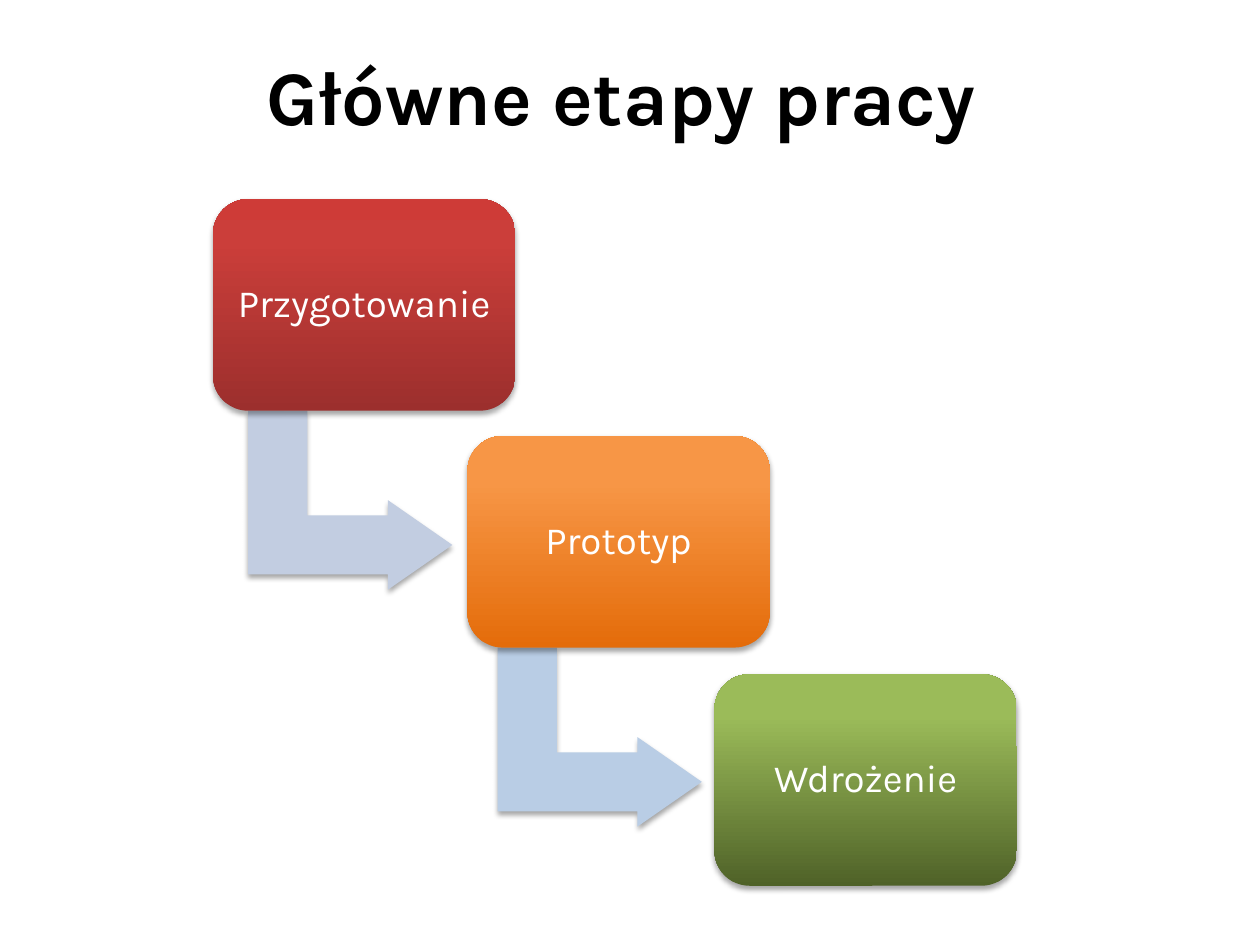
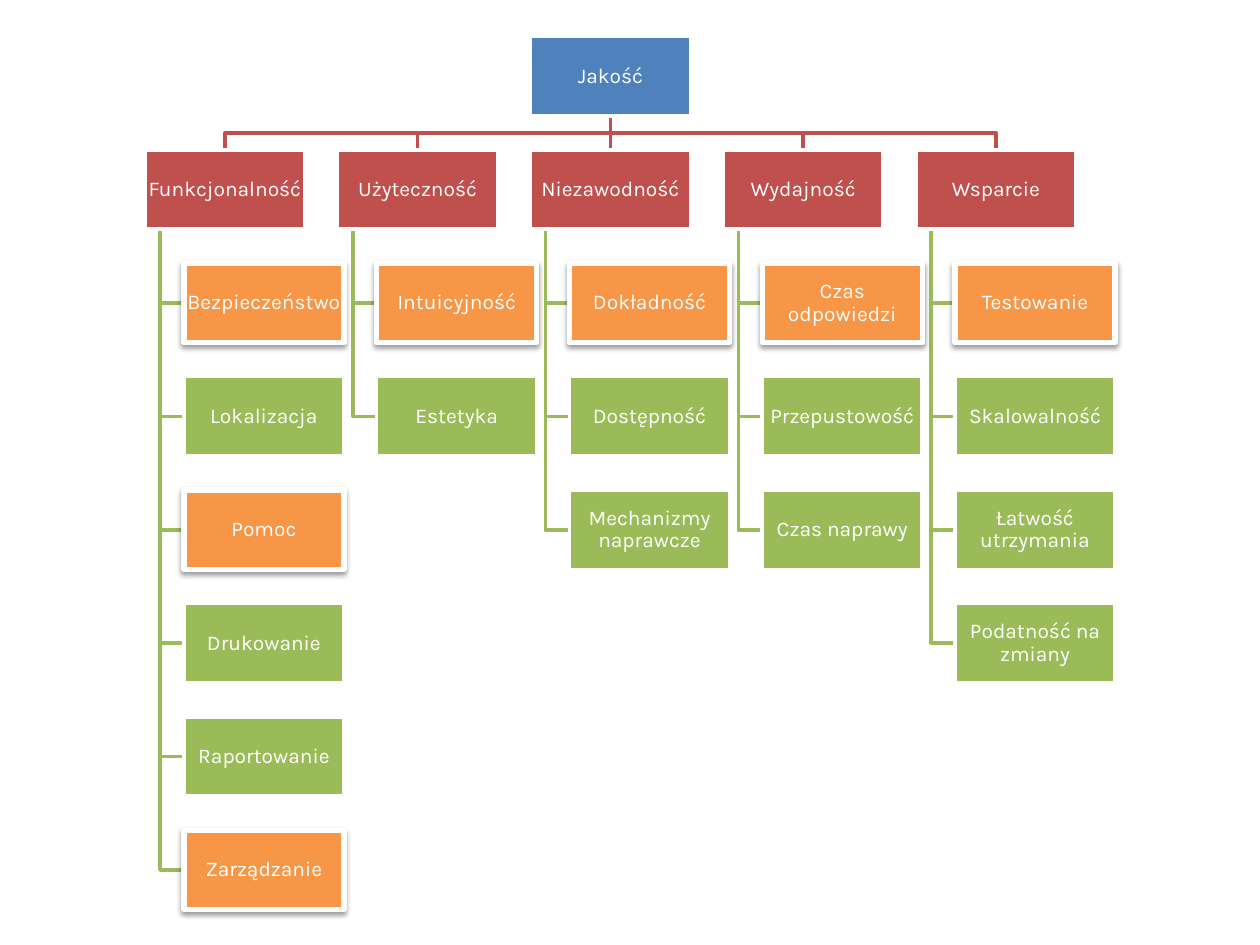
from copy import deepcopy
from lxml.etree import SubElement
from pptx import Presentation
from pptx.dml.color import RGBColor
from pptx.enum.shapes import MSO_CONNECTOR, MSO_SHAPE
from pptx.enum.text import MSO_ANCHOR, PP_ALIGN
from pptx.oxml.ns import qn
from pptx.util import Inches, Pt

FONT = "Karla"
COLORS = {
    "black": "000000", "white": "FFFFFF", "blue": "4F81BD", "red": "C0504D",
    "green": "9BBB59", "orange": "F79646", "arrow1": "C2CDE1", "arrow2": "B9CDE5",
}
RGB = {name: RGBColor.from_string(value) for name, value in COLORS.items()}


def add_shadow(sp, alpha, dist):
    effects = sp._element.spPr.find(qn("a:effectLst"))
    shadow = SubElement(effects, qn("a:outerShdw"), blurRad=str(Pt(3.1)),
                        dist=str(Pt(dist)), dir="5400000", rotWithShape="0")
    color = SubElement(shadow, qn("a:srgbClr"), val=COLORS["black"])
    SubElement(color, qn("a:alpha"), val=str(alpha * 1000))


def add_box(s, kind, x, y, w, h, text, size, inset):
    sp = s.shapes.add_shape(kind, Inches(x), Inches(y), Inches(w), Inches(h))
    sp.shadow.inherit = False
    tf = sp.text_frame
    tf.word_wrap = True
    tf.vertical_anchor = MSO_ANCHOR.MIDDLE
    tf.margin_left = tf.margin_right = tf.margin_top = tf.margin_bottom = Inches(inset)
    p = tf.paragraphs[0]
    p.alignment = PP_ALIGN.CENTER
    p.line_spacing = 0.9
    r = p.add_run()
    r.text = text
    r.font.name = FONT
    r.font.size = Pt(size)
    r.font.color.rgb = RGB["white"]
    return sp


prs = Presentation()
prs.slide_width = Inches(10)
prs.slide_height = Inches(7.5)

s = prs.slides.add_slide(prs.slide_layouts[5])
title = s.shapes.title
title.left, title.top, title.width, title.height = Inches(0.43), Inches(0.13), Inches(9), Inches(1.25)
tf = title.text_frame
tf.vertical_anchor = MSO_ANCHOR.MIDDLE
p = tf.paragraphs[0]
p.alignment = PP_ALIGN.CENTER
r = p.add_run()
r.text = "Główne etapy pracy"
r.font.name = FONT
r.font.size = Pt(44)
r.font.bold = True
r.font.color.rgb = RGB["black"]

stages = [
    ("Przygotowanie", 1.69, 1.58, [(0, "9C2F2D"), (0.8, "CB3E3A"), (1, "CE3B37")], (2.07, 3.16, "arrow1")),
    ("Prototyp", 3.71, 3.46, [(0, "E46C0A"), (0.78, "F79646"), (1, "F79646")], (4.05, 5.04, "arrow2")),
    ("Wdrożenie", 5.67, 5.35, [(0, "4F6228"), (0.8, "9BBB59"), (1, "9BBB59")], None),
]
for text, x, y, stops, arrow in stages:
    if arrow:
        ax, ay, color = arrow
        sp = s.shapes.add_shape(MSO_SHAPE.BENT_UP_ARROW, Inches(ax), Inches(ay), Inches(1.42), Inches(1.62))
        sp.rotation = 90
        for i, value in enumerate((0.33, 0.25, 0.36)):
            sp.adjustments[i] = value
        sp.fill.solid()
        sp.fill.fore_color.rgb = RGB[color]
        sp.line.fill.background()
        sp.shadow.inherit = False
        add_shadow(sp, 35, 1.8)
    sp = add_box(s, MSO_SHAPE.ROUNDED_RECTANGLE, x, y, 2.4, 1.68, text, 22, 0.09)
    sp.line.fill.background()
    sp.fill.gradient()
    sp.fill.gradient_angle = 90
    gs_list = sp._element.spPr.find(".//" + qn("a:gsLst"))
    gs_list.append(deepcopy(gs_list[-1]))
    for stop, (position, color) in zip(sp.fill.gradient_stops, stops):
        stop.position = position
        stop.color.rgb = RGBColor.from_string(color)
    add_shadow(sp, 35, 1.8)

s = prs.slides.add_slide(prs.slide_layouts[6])
BOX_W, BOX_H = 1.27, 0.63
LEFT, TOP = 1.15, 0.29
COL_STEP, ROW_STEP = 1.53, 0.9
INDENT, STEM = 0.31, 0.12
tree = [
    ("Funkcjonalność", ["Bezpieczeństwo", "Lokalizacja", "Pomoc", "Drukowanie", "Raportowanie", "Zarządzanie"]),
    ("Użyteczność", ["Intuicyjność", "Estetyka"]),
    ("Niezawodność", ["Dokładność", "Dostępność", "Mechanizmy naprawcze"]),
    ("Wydajność", ["Czas odpowiedzi", "Przepustowość", "Czas naprawy"]),
    ("Wsparcie", ["Testowanie", "Skalowalność", "Łatwość utrzymania", "Podatność na zmiany"]),
]
highlighted = {"Bezpieczeństwo", "Pomoc", "Zarządzanie", "Intuicyjność", "Dokładność",
               "Czas odpowiedzi", "Testowanie"}

root_x = LEFT + 2 * COL_STEP
root_mid = root_x + BOX_W / 2
root_bottom = TOP + BOX_H
branch_y = TOP + ROW_STEP
bus_y = (root_bottom + branch_y) / 2
boxes = [("Jakość", root_x, TOP, "blue")]
lines = []
for col, (branch, leaves) in enumerate(tree):
    x = LEFT + col * COL_STEP
    mid = x + BOX_W / 2
    boxes.append((branch, x, branch_y, "red"))
    if col != 2:
        lines.append(("red", [(root_mid, root_bottom), (root_mid, bus_y), (mid, bus_y), (mid, branch_y)]))
    for row, leaf in enumerate(leaves, 2):
        y = TOP + row * ROW_STEP
        leaf_mid = y + BOX_H / 2
        boxes.append((leaf, x + INDENT, y, "orange" if leaf in highlighted else "green"))
        lines.append(("green", [(x + STEM, branch_y + BOX_H), (x + STEM, leaf_mid), (x + INDENT, leaf_mid)]))

for color, points in lines:
    (x, y), *rest = [(Inches(px), Inches(py)) for px, py in points]
    fb = s.shapes.build_freeform(x, y)
    fb.add_line_segments(rest, close=False)
    sp = fb.convert_to_shape()
    sp.shadow.inherit = False
    sp.fill.background()
    sp.line.color.rgb = RGB[color]
    sp.line.width = Pt(2)

placed = {}
for text, x, y, color in boxes:
    sp = add_box(s, MSO_SHAPE.RECTANGLE, x, y, BOX_W, BOX_H, text, 12, 0.01)
    sp.fill.solid()
    sp.fill.fore_color.rgb = RGB[color]
    sp.line.color.rgb = RGB["white"]
    sp.line.width = Pt(3 if text in highlighted else 2)
    if text in highlighted:
        add_shadow(sp, 38, 1.6)
    placed[text] = sp

cx = s.shapes.add_connector(MSO_CONNECTOR.STRAIGHT, Inches(root_mid), Inches(root_bottom),
                            Inches(root_mid), Inches(branch_y))
cx.begin_connect(placed["Jakość"], 2)
cx.end_connect(placed["Niezawodność"], 0)
cx.line.color.rgb = RGB["red"]
cx.line.width = Pt(2)
SubElement(cx._element.spPr, qn("a:effectLst"))
s.shapes._spTree.insert(2, cx._element)

prs.save("out.pptx")
